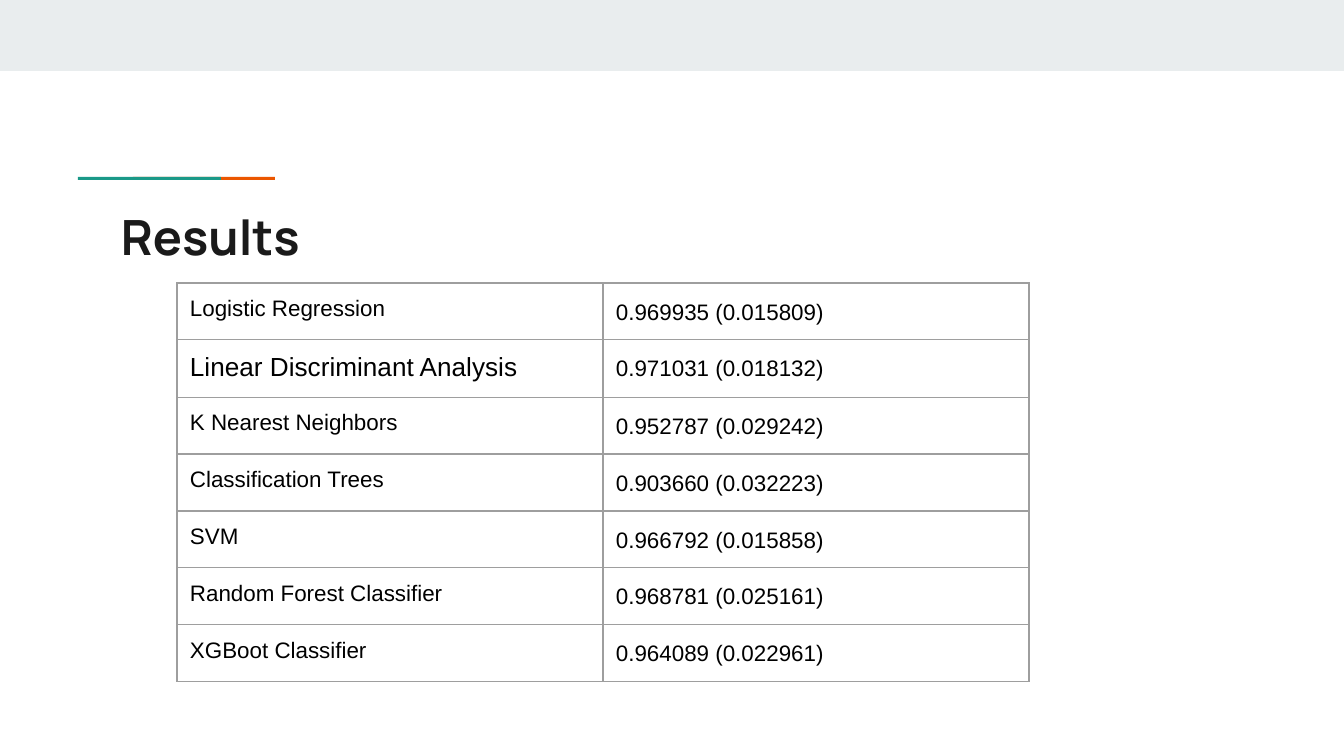
from lxml import etree
from pptx import Presentation
from pptx import util as u
from pptx.dml.color import RGBColor
from pptx.enum import shapes, text
from pptx.oxml import ns

PX = 914400 / 134.4  # EMU per px
PAD = 13
SCORES = [
    ("Logistic Regression", "0.969935 (0.015809)"),
    ("Linear Discriminant Analysis", "0.971031 (0.018132)"),
    ("K Nearest Neighbors", "0.952787 (0.029242)"),
    ("Classification Trees", "0.903660 (0.032223)"),
    ("SVM", "0.966792 (0.015858)"),
    ("Random Forest Classifier", "0.968781 (0.025161)"),
    ("XGBoot Classifier", "0.964089 (0.022961)"),
]


def px(*nums):
    return [u.Emu(round(n * PX)) for n in nums]


def color(code):
    return RGBColor.from_string(code)


def style(para, font, size, code, bold=False):
    for run in para.runs:
        run.font.name = font
        run.font.size = u.Pt(size)
        run.font.bold = bold
        run.font.color.rgb = color(code)


def pad(item):
    """Set equal margins on a cell or text frame."""
    gap, = px(PAD)
    item.margin_left = item.margin_right = gap
    item.margin_top = item.margin_bottom = gap


def add_bar(slide, box, code):
    bar = slide.shapes.add_shape(shapes.MSO_SHAPE.RECTANGLE, *px(*box))
    bar.shadow.inherit = False
    bar.fill.solid()
    bar.fill.fore_color.rgb = color(code)
    bar.line.fill.background()


def add_title(slide, box, words):
    frame = slide.shapes.add_textbox(*px(*box)).text_frame
    frame.word_wrap = True
    frame.vertical_anchor = text.MSO_ANCHOR.TOP
    pad(frame)
    frame.text = words
    style(frame.paragraphs[0], "Manrope", 26, "1A1A1A", True)


def add_edges(cell, code, width):
    props = cell._tc.get_or_add_tcPr()
    for side in ("a:lnL", "a:lnR", "a:lnT", "a:lnB"):
        edge = etree.SubElement(props, ns.qn(side), w=str(u.Pt(width)))
        fill = etree.SubElement(edge, ns.qn("a:solidFill"))
        etree.SubElement(fill, ns.qn("a:srgbClr"), val=code)


def fill_cell(cell, words, size, spacing):
    pad(cell)
    add_edges(cell, "9E9E9E", 0.75)
    cell.fill.background()
    cell.text = words
    para = cell.text_frame.paragraphs[0]
    para.line_spacing = spacing
    style(para, "Arial", size, "000000")


def add_scores(slide, box):
    frame = slide.shapes.add_table(len(SCORES), 2, *px(*box))
    table = frame.table
    table.first_row = table.horz_banding = False
    for row, (model, score) in enumerate(SCORES):
        # The best model stands out by its larger name
        size = 14 if model.startswith("Linear") else 12
        fill_cell(table.cell(row, 0), model, size, 1.0)
        fill_cell(table.cell(row, 1), score, 12, 1.15)


def main():
    deck = Presentation()
    deck.slide_width, deck.slide_height = px(1344, 756)
    slide = deck.slides.add_slide(deck.slide_layouts[6])

    # Top band and two-colour accent
    add_bar(slide, (0, 0, 1344, 71), "E9EDEE")
    add_bar(slide, (133, 177, 142, 3), "EB5600")
    add_bar(slide, (78, 177, 143, 3), "1A9988")

    # Heading and scores
    add_title(slide, (108, 194, 1130, 79), "Results")
    add_scores(slide, (177, 283, 852, 390))

    deck.save("out.pptx")


if __name__ == "__main__":
    main()
